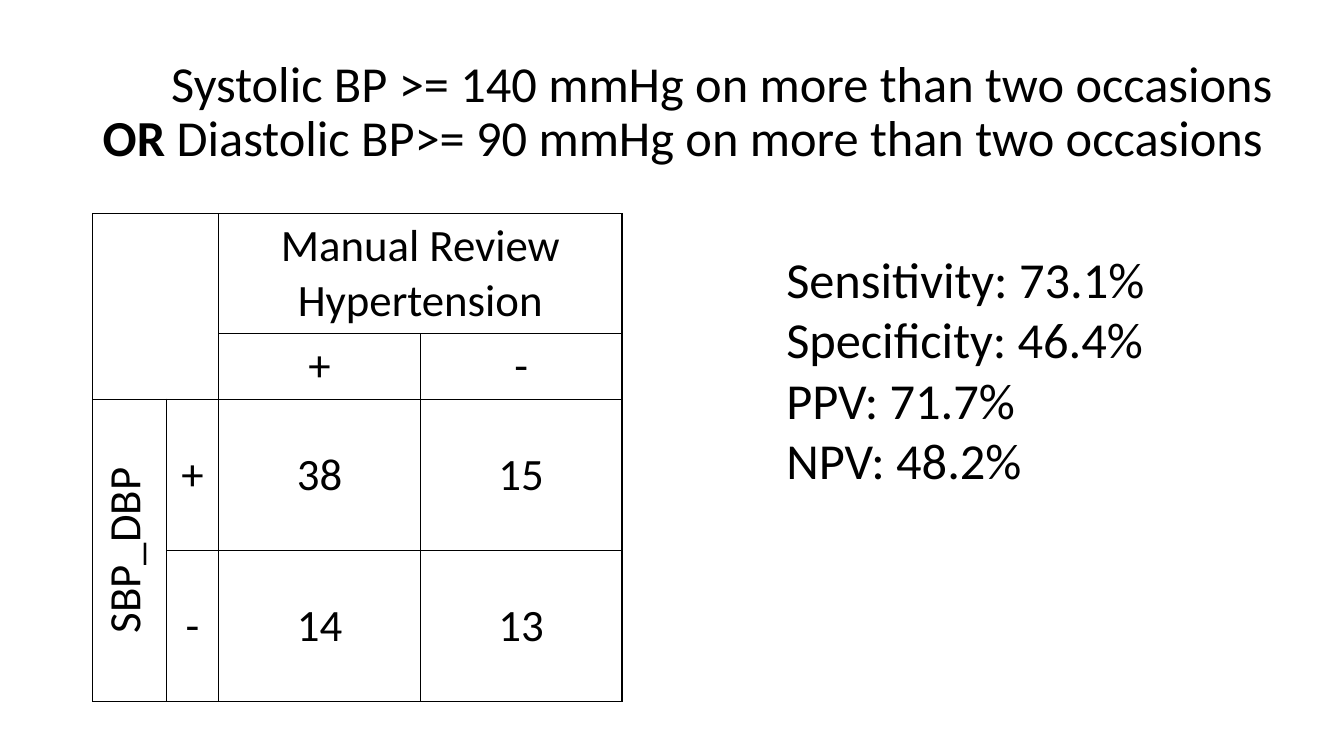
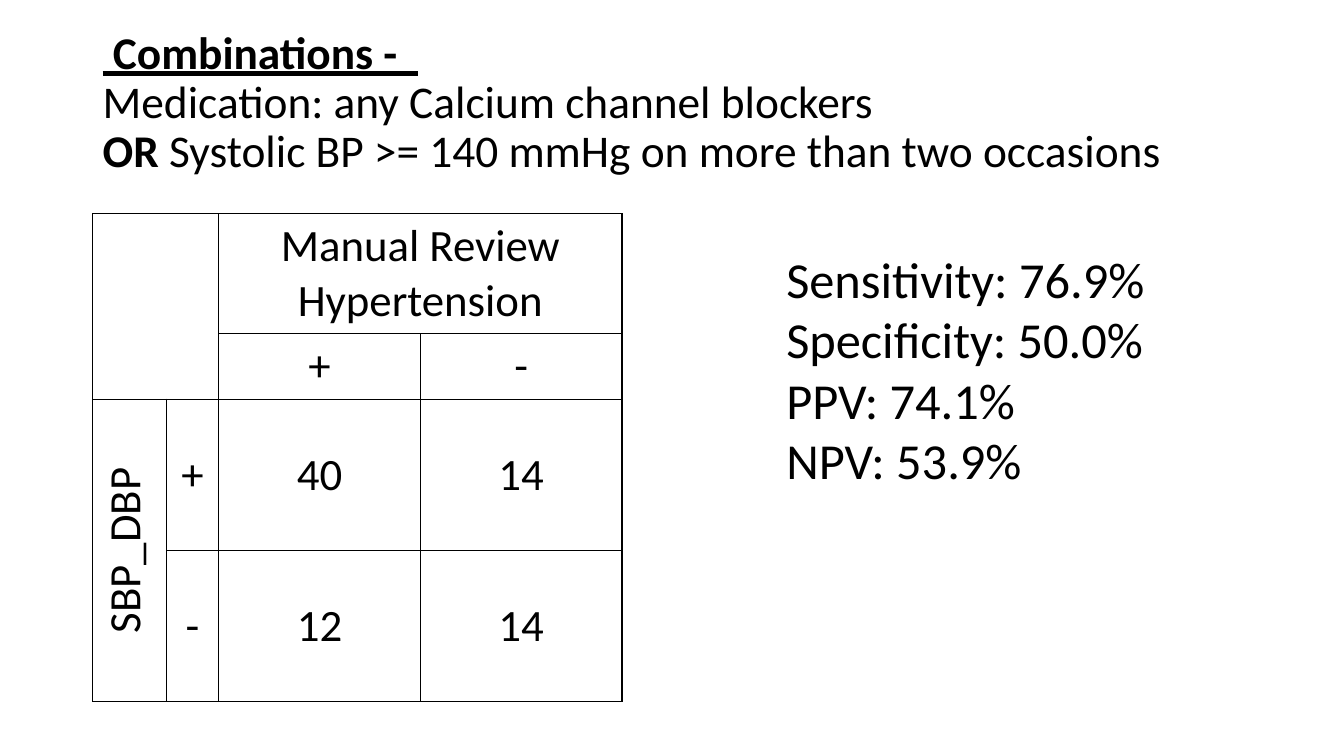
"""Build two slides that compare blood pressure rules with manual review."""
from lxml.etree import SubElement as Sub
from pptx import Presentation
from pptx.dml.color import RGBColor
from pptx.enum.text import MSO_ANCHOR as Anchor, PP_ALIGN as Align
from pptx.oxml.ns import qn
from pptx.util import Inches, Pt

BLACK = RGBColor(0, 0, 0)
FONT = "Calibri"
UNIT = Inches(0.1)
LEFT = 9.2
COLS = 7.3, 5.2, 20, 20
ROWS = 11.9, 6.5, 15, 15
NAMES = "Sensitivity", "Specificity", "PPV", "NPV"
SPANS = (0, 0, 1, 1), (0, 2, 0, 3), (2, 0, 3, 0)

SLIDES = [
    dict(
        top=4, size=36, indent=6.8,
        title=[
            [("Systolic BP >= 140 mmHg on more than two occasions", "")],
            [("OR", "b"), (" Diastolic BP>= 90 mmHg on more than two occasions", "")],
        ],
        counts=[("38", "15"), ("14", "13")],
        rates=("73.1%", "71.7%", "46.4%", "48.2%")[::2] and ("73.1%", "46.4%", "71.7%", "48.2%"),
    ),
    dict(
        top=3, size=32.4, indent=0,
        title=[
            [(" Combinations -  ", "bu")],
            [("Medication: any Calcium channel blockers", "")],
            [("OR", "b"), (" Systolic BP >= 140 mmHg on more than two occasions", "")],
        ],
        counts=[("40", "14"), ("12", "14")],
        rates=("76.9%", "50.0%", "74.1%", "53.9%"),
    ),
]


def grid(*cells):
    return [round(n * UNIT) for n in cells]


def write(frame, lines, size=32, align=Align.LEFT, space=1.0, indent=0):
    frame.word_wrap = True
    for i, runs in enumerate(lines):
        para = frame.add_paragraph() if i else frame.paragraphs[0]
        para.alignment = align
        para.line_spacing = space
        if indent and not i:
            para._p.get_or_add_pPr().set("indent", str(grid(indent)[0]))
        for text, style in runs:
            run = para.add_run()
            run.text = text
            font = run.font
            font.name, font.size = FONT, Pt(size)
            font.color.rgb = BLACK
            font.bold, font.underline = "b" in style, "u" in style


deck = Presentation()
deck.slide_width, deck.slide_height = grid(133.3, 75)

for data in SLIDES:
    slide = deck.slides.add_slide(deck.slide_layouts[6])
    shapes = slide.shapes

    head = shapes.add_textbox(*grid(LEFT, data["top"], 121.2, 14.5)).text_frame
    head.vertical_anchor = Anchor.MIDDLE
    write(head, data["title"], size=data["size"], space=0.9, indent=data["indent"])

    frame = shapes.add_table(4, 4, *grid(LEFT, 21.2, sum(COLS), sum(ROWS)))
    table = frame.table
    table.first_row = table.horz_banding = False
    for col, wide in zip(table.columns, grid(*COLS)):
        col.width = wide
    for row, tall in zip(table.rows, grid(*ROWS)):
        row.height = tall
    for top, left, low, right in SPANS:
        table.cell(top, left).merge(table.cell(low, right))

    words = [
        ("", "", "Manual Review Hypertension", ""),
        ("", "", "+", "-"),
        ("SBP_DBP", "+", *data["counts"][0]),
        ("", "-", *data["counts"][1]),
    ]
    for r, line in enumerate(words):
        for c, text in enumerate(line):
            cell = table.cell(r, c)
            props = cell._tc.get_or_add_tcPr()
            for side in ("lnL", "lnR", "lnT", "lnB"):
                edge = Sub(props, qn(f"a:{side}"), w=str(Pt(1)))
                fill = Sub(edge, qn("a:solidFill"))
                Sub(fill, qn("a:srgbClr"), val=str(BLACK))
            cell.fill.background()
            if r:
                cell.vertical_anchor = Anchor.MIDDLE
            if text:
                write(cell.text_frame, [[(text, "")]], align=Align.CENTER)
    table.cell(2, 0)._tc.get_or_add_tcPr().set("vert", "vert270")

    stats = shapes.add_textbox(*grid(77, 24.1, 39.2, 25.2)).text_frame
    lines = [[(f"{name}: {rate}", "")] for name, rate in zip(NAMES, data["rates"])]
    write(stats, lines, size=36)

deck.save("out.pptx")
